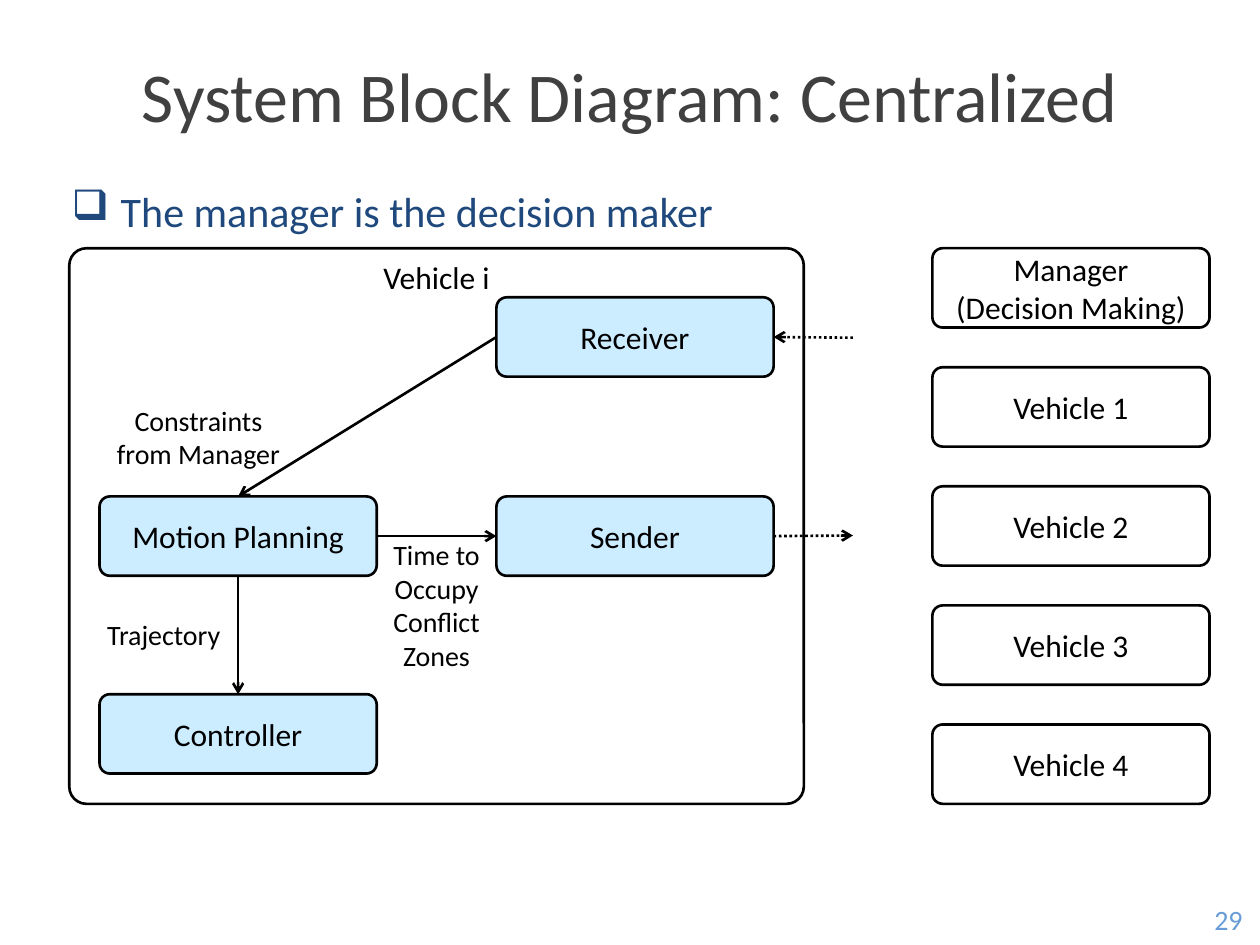
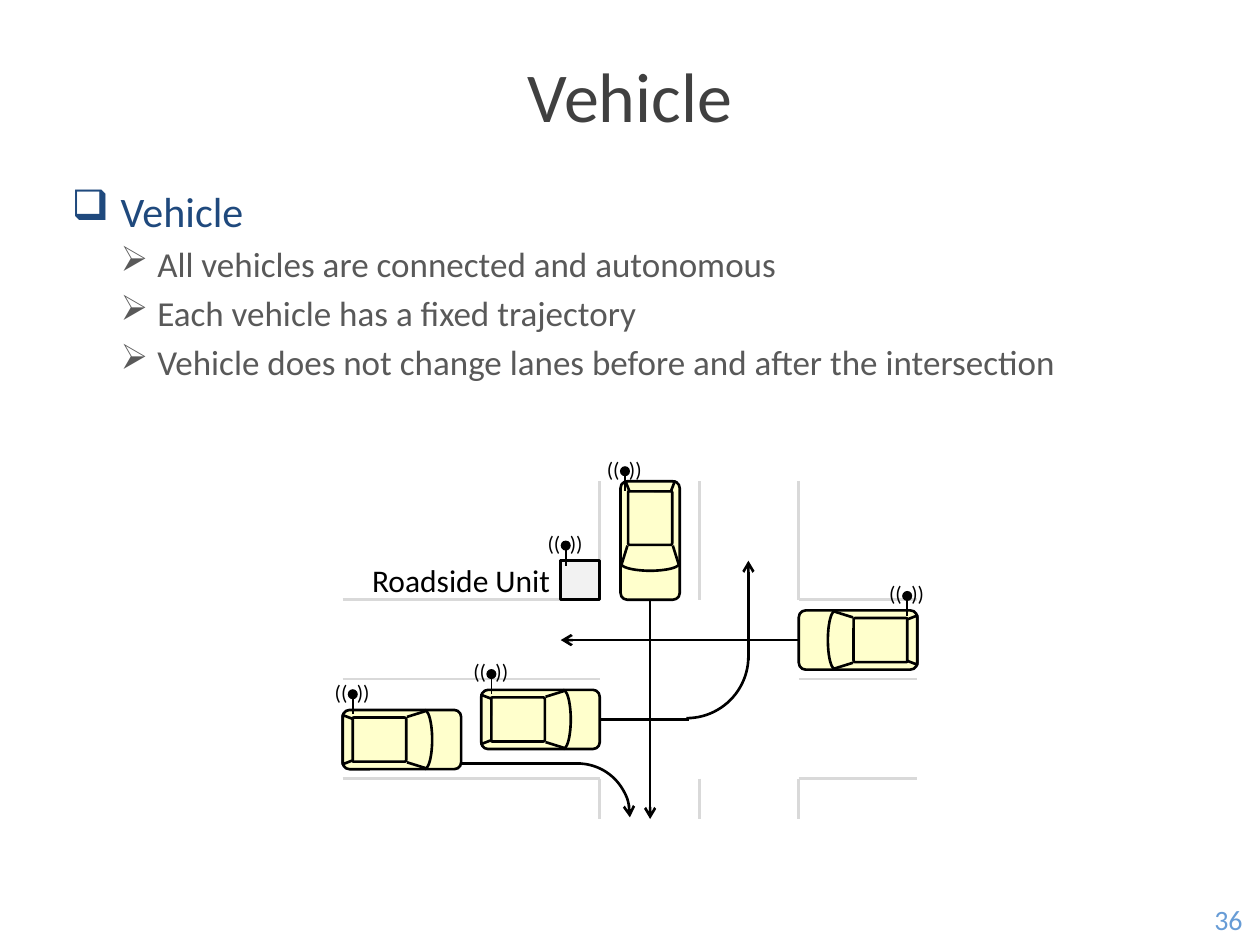
import math

import lxml.etree
import pptx
import pptx.dml.color
import pptx.enum.dml
import pptx.enum.shapes
import pptx.enum.text
import pptx.oxml.ns
import pptx.util

Inches = pptx.util.Inches
Pt = pptx.util.Pt
Kind = pptx.enum.shapes.MSO_SHAPE
Anchor = pptx.enum.text.MSO_ANCHOR
Align = pptx.enum.text.PP_ALIGN
qn = pptx.oxml.ns.qn

FONT = "Calibri"
BLACK, ROAD, BOX, CAR, UNIT = "000000", "D9D9D9", "CCECFF", "FFFFCC", "F2F2F2"
TITLE, HEAD, ITEM, PAGE = "404040", "1F497D", "595959", "679CD6"
LEVELS = [("❑", 24, HEAD, 0.39, 0.39), ("➢", 20, ITEM, 0.68, 0.29)]


def color(code):
    return pptx.dml.color.RGBColor.from_string(code)


class Deck:
    """Holds the shared style and draws elements on the current slide."""

    def __init__(self):
        self.prs = pptx.Presentation()
        self.prs.slide_width = Inches(10)
        self.prs.slide_height = Inches(7.5)

    def page(self, title, points, number):
        slide = self.prs.slides.add_slide(self.prs.slide_layouts[6])
        self.shapes = slide.shapes
        self.text((0.47, 0.28, 9.06, 0.94), [title], 40, TITLE)
        self.points((0.47, 1.42, 9.06, 5.67), points)
        self.text((9.5, 7.1, 0.5, 0.4), [str(number)], 16, PAGE)

    def runs(self, para, words, size, ink):
        for i, part in enumerate(words.split("\n")):
            if i:
                para.add_line_break()
            run = para.add_run()
            run.text = part
            run.font.name = FONT
            run.font.size = Pt(size)
            run.font.color.rgb = color(ink)

    def fill(self, frame, paras, size, ink=BLACK, anchor=Anchor.MIDDLE, inset=None):
        frame.vertical_anchor = anchor
        if inset is not None:
            frame.margin_left = frame.margin_right = frame.margin_bottom = 0
            frame.margin_top = Inches(inset)
        for i, words in enumerate(paras):
            para = frame.add_paragraph() if i else frame.paragraphs[0]
            para.alignment = Align.CENTER
            self.runs(para, words, size, ink)

    def text(self, at, paras, size, ink=BLACK, inset=None):
        frame = self.shapes.add_textbox(*map(Inches, at)).text_frame
        frame.word_wrap = True
        self.fill(frame, paras, size, ink, inset=inset)

    def label(self, at, paras, size=16):
        self.text(at, paras, size, inset=0)

    def points(self, at, points):
        frame = self.shapes.add_textbox(*map(Inches, at)).text_frame
        frame.word_wrap = True
        for i, (level, words) in enumerate(points):
            mark, size, ink, left, hang = LEVELS[level]
            para = frame.add_paragraph() if i else frame.paragraphs[0]
            para.level = level
            para.space_before = Pt(size * 0.2)
            self.runs(para, words, size, ink)
            props = para._p.get_or_add_pPr()
            props.set("marL", str(Inches(left)))
            props.set("indent", str(-Inches(hang)))
            lxml.etree.SubElement(props, qn("a:buChar")).set("char", mark)

    def stroke(self, line, ink, width, head=False):
        line.color.rgb = color(ink)
        line.width = Pt(width)
        if head:
            tail = lxml.etree.SubElement(line._get_or_add_ln(), qn("a:tailEnd"))
            tail.set("type", "arrow")

    def shape(self, kind, at, paint=None, adj=(), turn=0, head=False, edge=True):
        shape = self.shapes.add_shape(kind, *map(Inches, at))
        shape.shadow.inherit = False
        shape.rotation = turn
        for i, value in enumerate(adj):
            shape.adjustments[i] = value
        if paint:
            shape.fill.solid()
            shape.fill.fore_color.rgb = color(paint)
        else:
            shape.fill.background()
        if edge:
            self.stroke(shape.line, BLACK, 1.5, head)
        else:
            shape.line.fill.background()
        return shape

    def block(self, left, top, words, paint=None):
        box = self.shape(Kind.ROUNDED_RECTANGLE, (left, top, 2.2, 0.63), paint, [0.13])
        box.text_frame.word_wrap = False
        self.fill(box.text_frame, [words], 18)
        return box

    def arc(self, at, start, end, turn=0, head=False):
        self.shape(Kind.ARC, at, adj=[start * 0.6, end * 0.6], turn=turn, head=head)

    def line(self, start, end, ink=BLACK, width=1.5, head=False, dots=False):
        kind = pptx.enum.shapes.MSO_CONNECTOR.STRAIGHT
        link = self.shapes.add_connector(kind, *map(Inches, (*start, *end)))
        lxml.etree.SubElement(link._element.spPr, qn("a:effectLst"))
        if dots:
            link.line.dash_style = pptx.enum.dml.MSO_LINE.ROUND_DOT
        self.stroke(link.line, ink, width, head)
        return link

    def join(self, first, out, last, into):
        link = self.line((0, 0), (1, 1), head=True)
        link.begin_connect(first, out)
        link.end_connect(last, into)

    def car(self, x, y, turn=0):
        cos, sin = (round(f(math.radians(turn))) for f in (math.cos, math.sin))

        def spot(dx, dy):
            return x + dx * cos - dy * sin, y + dx * sin + dy * cos

        def frame(dx, wide, high):
            mx, my = spot(dx, 0)
            return mx - wide / 2, my - high / 2, wide, high

        def panel(dx, wide, high, adj):
            size = (high, wide) if sin else (wide, high)
            return self.shape(Kind.ROUNDED_RECTANGLE, frame(dx, *size), CAR, [adj])

        body = panel(0, 0.94, 0.47, 0.115)
        panel(-0.18, 0.43, 0.35, 0.038)
        rear = frame(-0.43, 0.39, 0.08)
        self.shape(Kind.TRAPEZOID, rear, CAR, [0.387], (turn + 90) % 360)
        for side in (-1, 1):
            self.line(spot(0.04, side * 0.18), spot(0.2, side * 0.23))
        self.arc(frame(0.18, 0.12, 0.47), 270, 89.6, turn)
        return body

    def mast(self, x, y):
        self.label((x - 0.16, y - 0.12, 0.31, 0.2), ["((  ))"], 12)
        self.line((x, y), (x, y + 0.16), width=1)
        self.shape(Kind.OVAL, (x - 0.04, y - 0.04, 0.08, 0.08), BLACK, edge=False)


def central(deck):
    deck.page("System Block Diagram: Centralized",
              [(0, "The manager is the decision maker")], 29)
    host = deck.shape(Kind.ROUNDED_RECTANGLE, (0.55, 1.97, 5.83, 4.41), adj=[0.031])
    host.text_frame.word_wrap = False
    deck.fill(host.text_frame, ["Vehicle i"], 18, anchor=Anchor.TOP, inset=0.04)

    plan = deck.block(0.79, 3.94, "Motion Planning", BOX)
    control = deck.block(0.79, 5.51, "Controller", BOX)
    getter = deck.block(3.94, 2.36, "Receiver", BOX)
    sender = deck.block(3.94, 3.94, "Sender", BOX)
    deck.join(plan, 3, sender, 1)
    deck.join(plan, 2, control, 0)
    deck.join(getter, 1, plan, 0)
    inward = deck.line((6.77, 2.68), (6.14, 2.68), head=True, dots=True)
    inward.end_connect(getter, 3)
    outward = deck.line((6.14, 4.25), (6.77, 4.25), head=True, dots=True)
    outward.begin_connect(sender, 3)

    peers = ["Manager\n(Decision Making)"] + [f"Vehicle {n}" for n in range(1, 5)]
    for i, peer in enumerate(peers):
        deck.block(7.4, 1.97 + i * 3.78 / 4, peer)
    deck.label((0.63, 3.19, 1.89, 0.55), ["Constraints\nfrom Manager"])
    deck.label((0.75, 4.84, 1.1, 0.39), ["Trajectory"])
    deck.label((3.03, 4.29, 0.87, 1.02), ["Time to\nOccupy", "Conflict\nZones"])


def vehicle(deck):
    deck.page("Vehicle", [
        (0, "Vehicle"),
        (1, "All vehicles are connected and autonomous"),
        (1, "Each vehicle has a fixed trajectory"),
        (1, "Vehicle does not change lanes before and after the intersection"),
    ], 36)
    west, mid, east = 4.76, 5.55, 6.34
    north, south = 4.76, 6.18
    for x in (west, mid, east):
        deck.line((x, north), (x, 3.82), ROAD)
        deck.line((x, south), (x, 6.5), ROAD)
    for y in (north, 5.39, south):
        deck.line((2.72, y), (west, y), ROAD)
        if y != north:
            deck.line((east, y), (7.28, y), ROAD)
    deck.line((east, north), (7.28, north), ROAD)

    deck.car(3.19, 5.87)
    left = deck.car(4.29, 5.71)
    ahead = deck.car(6.81, 5.08, 180)
    down = deck.car(5.16, 4.29, 90)
    deck.line((east, 5.08), (4.45, 5.08), head=True).begin_connect(ahead, 1)
    deck.line((5.16, north), (5.16, 6.5), head=True).begin_connect(down, 2)
    deck.line((west, 5.71), (5.47, 5.71)).begin_connect(left, 3)
    deck.arc((4.96, 4.72, 0.98, 0.98), 359.23, 90.2)
    deck.line((5.94, 5.24), (5.94, 4.45), head=True)
    deck.line((3.66, 6.06), (4.61, 6.06))
    deck.arc((4.17, 6.06, 0.83, 0.83), 269.4, 1.72, head=True)

    deck.shape(Kind.RECTANGLE, (4.45, 4.45, 0.31, 0.31), UNIT)
    deck.label((2.91, 4.45, 1.5, 0.31), ["Roadside Unit"], 18)
    for spot in [(2.8, 5.51), (4.49, 4.33), (3.9, 5.35), (7.2, 4.73), (4.96, 3.74)]:
        deck.mast(*spot)


def main():
    deck = Deck()
    central(deck)
    vehicle(deck)
    deck.prs.save("out.pptx")


if __name__ == "__main__":
    main()
